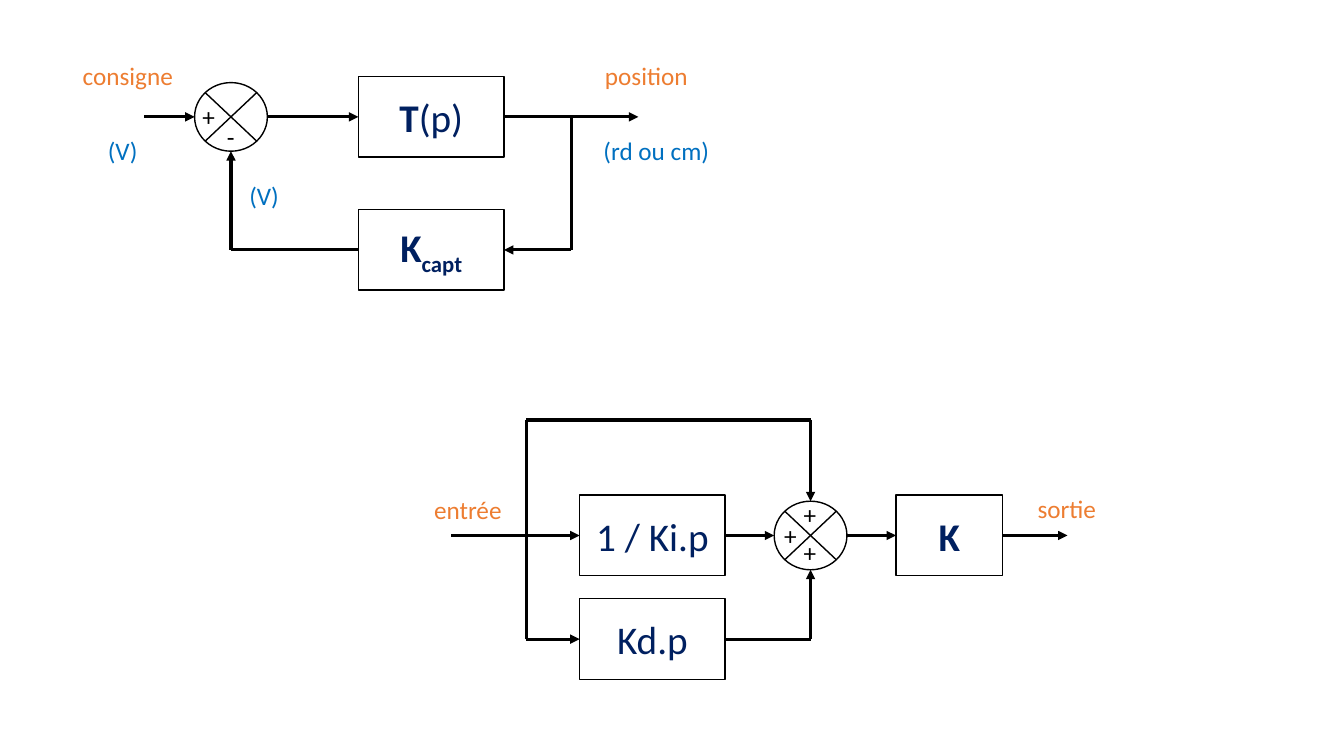
from lxml import etree
from pptx import Presentation
from pptx.dml.color import RGBColor
from pptx.enum import shapes, text
from pptx.oxml.ns import qn
from pptx.util import Pt

BLACK = RGBColor(0x00, 0x00, 0x00)
NAVY = RGBColor(0x00, 0x20, 0x60)
ORANGE = RGBColor(0xED, 0x7D, 0x31)
BLUE = RGBColor(0x00, 0x70, 0xC0)

BLOCK_W, BLOCK_H = 104, 57.6
SUM_W, SUM_H = 52, 49
LABEL_H = 29


def add_run(p, content, size=18, color=BLACK, bold=False, baseline=None):
    r = p.add_run()
    r.text = content
    r.font.name = "Calibri"
    r.font.size = Pt(size)
    r.font.bold = bold
    r.font.color.rgb = color
    if baseline is not None:
        r._r.get_or_add_rPr().set("baseline", str(baseline * 1000))


def add_outline(s, kind, cx, cy, width, height):
    """Unfilled black-edged shape centred on (cx, cy)."""
    sp = s.shapes.add_shape(kind, Pt(cx - width / 2), Pt(cy - height / 2),
                            Pt(width), Pt(height))
    sp.shadow.inherit = False
    sp.fill.background()
    sp.line.color.rgb = BLACK
    sp.line.width = Pt(1)
    return sp


def add_block(s, cx, cy, runs, width=BLOCK_W):
    sp = add_outline(s, shapes.MSO_SHAPE.RECTANGLE, cx, cy, width, BLOCK_H)
    tf = sp.text_frame
    tf.word_wrap = True
    tf.vertical_anchor = text.MSO_ANCHOR.MIDDLE
    p = tf.paragraphs[0]
    p.alignment = text.PP_ALIGN.CENTER
    for content, style in runs:
        add_run(p, content, size=28, color=NAVY, **style)


def add_sum(s, cx, cy):
    add_outline(s, shapes.MSO_SHAPE.FLOWCHART_SUMMING_JUNCTION,
                cx, cy, SUM_W, SUM_H)


def add_label(s, left, top, width, content, color=BLACK):
    sp = s.shapes.add_textbox(Pt(left), Pt(top), Pt(width), Pt(LABEL_H))
    tf = sp.text_frame
    tf.word_wrap = False
    tf.auto_size = text.MSO_AUTO_SIZE.SHAPE_TO_FIT_TEXT
    add_run(tf.paragraphs[0], content, color=color)


def add_wire(s, *points, arrow=True):
    """Straight segments through the points, with an arrowhead on the last."""
    for i, (start, end) in enumerate(zip(points, points[1:]), 1):
        line = s.shapes.add_connector(shapes.MSO_CONNECTOR.STRAIGHT,
                                      *map(Pt, start + end))
        line.line.color.rgb = BLACK
        line.line.width = Pt(2.25)
        if arrow and i == len(points) - 1:
            etree.SubElement(line.line._get_or_add_ln(), qn("a:tailEnd"),
                             type="triangle")
        etree.SubElement(line._element.spPr, qn("a:effectLst"))


def draw_position_loop(s):
    axis, feedback = 83.5, 178.5
    sum_x, block_x, tap_x = 165, 308, 408
    block_left, block_right = block_x - BLOCK_W / 2, block_x + BLOCK_W / 2

    # Blocks and comparator
    add_block(s, block_x, axis, [("T", {"bold": True}), ("(p)", {})])
    add_block(s, block_x, feedback, [("K", {"bold": True}),
                                     ("capt", {"bold": True, "baseline": -25})])
    add_sum(s, sum_x, axis)

    # Forward path, then feedback path
    add_wire(s, (103, axis), (sum_x - SUM_W / 2, axis))
    add_wire(s, (sum_x + SUM_W / 2, axis), (block_left, axis))
    add_wire(s, (block_right, axis), (456, axis))
    add_wire(s, (tap_x, axis), (tap_x, feedback), (block_right, feedback))
    add_wire(s, (block_left, feedback), (sum_x, feedback),
             (sum_x, axis + SUM_H / 2))

    # Signs, signals and units
    add_label(s, 137.5, 69, 24, "+")
    add_label(s, 155, 83, 20, "-")
    add_label(s, 52, 39.5, 80, "consigne", ORANGE)
    add_label(s, 425, 39.5, 74, "position", ORANGE)
    add_label(s, 424, 93, 91, "(rd ou cm)", BLUE)
    add_label(s, 70, 93, 36, "(V)", BLUE)
    add_label(s, 171, 125, 36, "(V)", BLUE)


def draw_parallel_controller(s):
    top, axis, bottom = 300, 382.5, 456.5
    branch_x, block_x, sum_x, gain_x = 376, 466, 579, 678
    gain_w = 76
    block_left, block_right = block_x - BLOCK_W / 2, block_x + BLOCK_W / 2

    # Blocks and adder
    add_sum(s, sum_x, axis)
    add_block(s, block_x, axis, [("1 / Ki.p", {})])
    add_block(s, block_x, bottom, [("Kd.p", {})])
    add_block(s, gain_x, axis, [("K", {"bold": True})], width=gain_w)

    # Branches: direct, integral, derivative
    add_wire(s, (branch_x, bottom), (branch_x, top), (sum_x, top),
             (sum_x, axis - SUM_H / 2))
    add_wire(s, (322.5, axis), (block_left, axis))
    add_wire(s, (block_right, axis), (sum_x - SUM_W / 2, axis))
    add_wire(s, (branch_x, bottom), (block_left, bottom))
    add_wire(s, (block_right, bottom), (sum_x, bottom),
             (sum_x, axis + SUM_H / 2))

    # Output path
    add_wire(s, (sum_x + SUM_W / 2, axis), (gain_x - gain_w / 2, axis))
    add_wire(s, (gain_x + gain_w / 2, axis), (762.5, axis))

    # Signs and signals
    for left, sign_top in ((553, 368), (567, 380), (567, 353)):
        add_label(s, left, sign_top, 24, "+")
    add_label(s, 303, 349.5, 63, "entrée", ORANGE)
    add_label(s, 734, 349, 57, "sortie", ORANGE)


def main():
    prs = Presentation()
    prs.slide_width, prs.slide_height = Pt(960), Pt(540)
    s = prs.slides.add_slide(prs.slide_layouts[6])
    draw_position_loop(s)
    draw_parallel_controller(s)
    prs.save("out.pptx")


if __name__ == "__main__":
    main()
